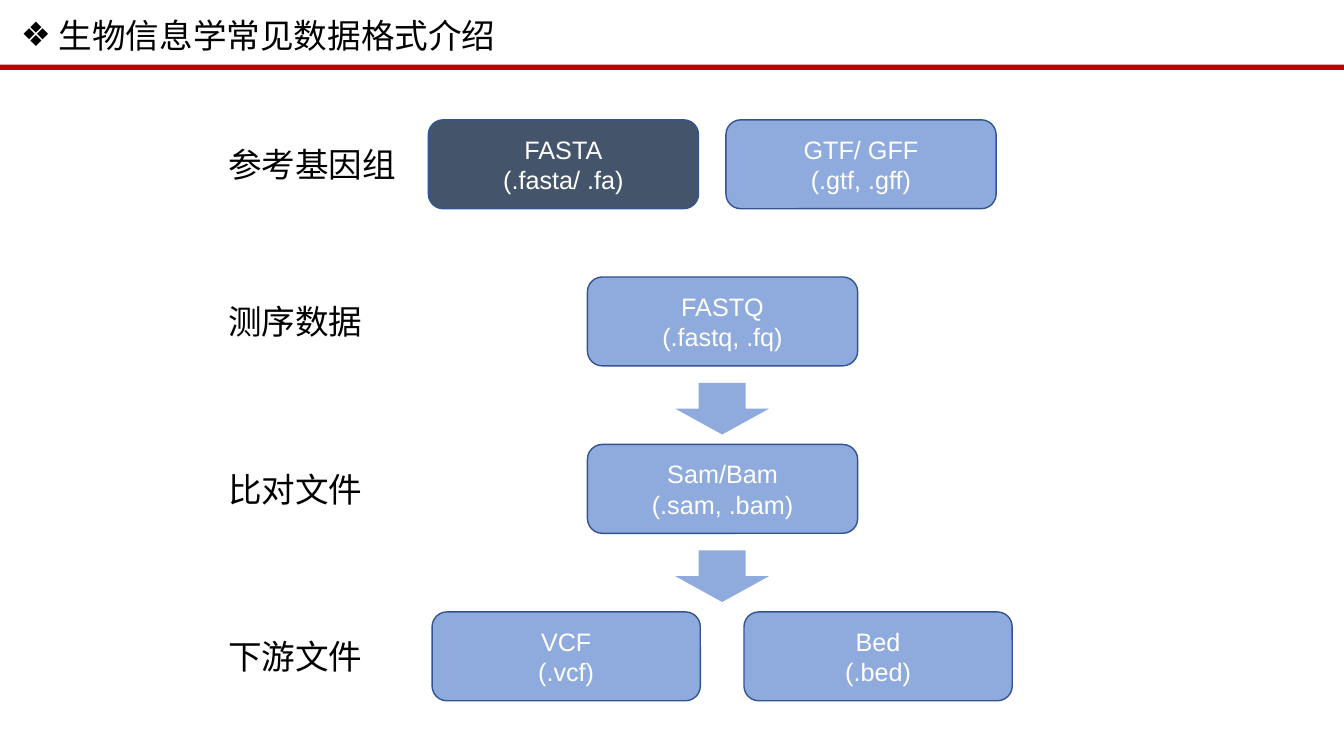
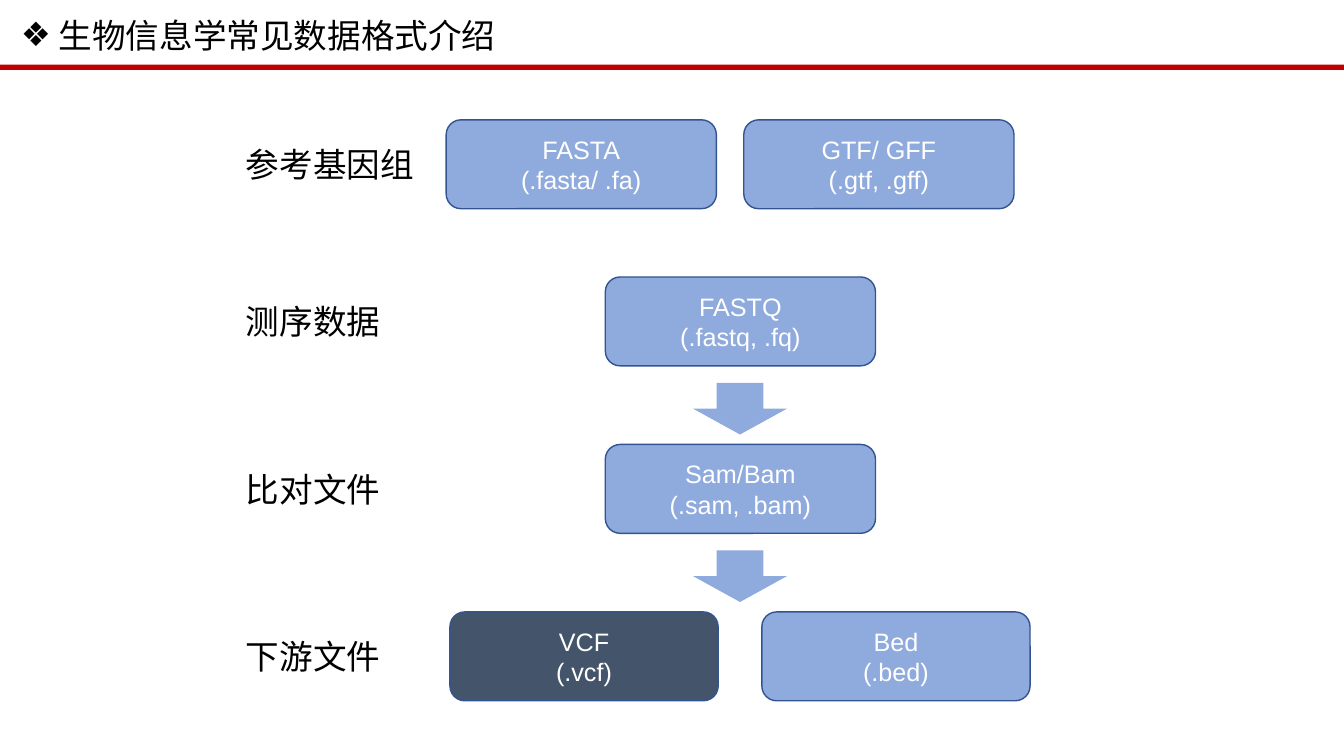
from dataclasses import dataclass

from lxml import etree
from pptx import Presentation
from pptx.dml.color import RGBColor
from pptx.enum.lang import MSO_LANGUAGE_ID
from pptx.enum.shapes import MSO_SHAPE
from pptx.enum.text import MSO_ANCHOR, MSO_AUTO_SIZE, PP_ALIGN
from pptx.oxml.ns import qn
from pptx.util import Cm, Pt

RECTANGLE = MSO_SHAPE.RECTANGLE
ROUNDED = MSO_SHAPE.ROUNDED_RECTANGLE
DOWN_ARROW = MSO_SHAPE.DOWN_ARROW
CENTER = PP_ALIGN.CENTER
MIDDLE = MSO_ANCHOR.MIDDLE
FIT_SHAPE = MSO_AUTO_SIZE.SHAPE_TO_FIT_TEXT
CHINESE = MSO_LANGUAGE_ID.SIMPLIFIED_CHINESE


@dataclass(frozen=True)
class Theme:
    font: str = "Arial"
    heading_size: int = 24
    format_size: int = 18
    text: RGBColor = RGBColor(0x00, 0x00, 0x00)
    on_fill: RGBColor = RGBColor(0xFF, 0xFF, 0xFF)
    band: RGBColor = RGBColor(0xC0, 0x00, 0x00)
    box: RGBColor = RGBColor(0x8F, 0xAA, 0xDC)
    current: RGBColor = RGBColor(0x44, 0x54, 0x6A)
    outline: RGBColor = RGBColor(0x32, 0x54, 0x91)


THEME = Theme()

# Content
TITLE = "生物信息学常见数据格式介绍"
# Stage, row top, row centre, box width, gap, arrow below, formats
STAGES = [
    ("参考基因组", 3.02, 17.95, 6.81, 0.69, False,
     [("FASTA", "(.fasta/ .fa)"), ("GTF/ GFF", "(.gtf, .gff)")]),
    ("测序数据", 6.98, 18.21, 6.81, 0, True, [("FASTQ", "(.fastq, .fq)")]),
    ("比对文件", 11.2, 18.21, 6.81, 0, True, [("Sam/Bam", "(.sam, .bam)")]),
    ("下游文件", 15.42, 18.2, 6.76, 1.1, False,
     [("VCF", "(.vcf)"), ("Bed", "(.bed)")]),
]
# Highlighted format and sideways shift of the diagram
SLIDES = [("FASTA", 0), ("VCF", 0.45)]

# Measures in centimetres
SLIDE_WIDTH, SLIDE_HEIGHT = 33.87, 19.05
BOX_HEIGHT = 2.24
HEADING_HEIGHT = 1.27
LABEL_LEFT = 5.5
LABEL_PADDING, CHARACTER_WIDTH = 0.51, 0.85
ARROW_CENTER, ARROW_WIDTH, ARROW_HEIGHT, ARROW_GAP = 18.2, 2.36, 1.3, 0.43
BULLET_INDENT = 0.95


def add_run(paragraph, text, size, color):
    run = paragraph.add_run()
    run.text = text
    run.font.name = THEME.font
    run.font.size = Pt(size)
    run.font.color.rgb = color
    return run


def add_block(slide, kind, left, top, width, height, fill, outline=None):
    block = slide.shapes.add_shape(kind, Cm(left), Cm(top), Cm(width), Cm(height))
    block.shadow.inherit = False
    block.fill.solid()
    block.fill.fore_color.rgb = fill
    if outline is None:
        block.line.fill.background()
    else:
        block.line.color.rgb = outline
        block.line.width = Pt(1)
    return block


def add_heading(slide, text, left, top, width):
    heading = slide.shapes.add_textbox(
        Cm(left), Cm(top), Cm(width), Cm(HEADING_HEIGHT))
    frame = heading.text_frame
    frame.word_wrap = False
    frame.auto_size = FIT_SHAPE
    paragraph = frame.paragraphs[0]
    run = add_run(paragraph, text, THEME.heading_size, THEME.text)
    run.font.language_id = CHINESE
    return paragraph


def add_bullet(paragraph, symbol):
    properties = paragraph._p.get_or_add_pPr()
    properties.set("marL", str(Cm(BULLET_INDENT)))
    properties.set("indent", str(-Cm(BULLET_INDENT)))
    etree.SubElement(properties, qn("a:buFont")).set("typeface", THEME.font)
    etree.SubElement(properties, qn("a:buChar")).set("char", symbol)


def add_title(slide):
    add_block(slide, RECTANGLE, 0, 1.63, SLIDE_WIDTH, 0.13, THEME.band)
    add_bullet(add_heading(slide, TITLE, 0.28, 0.25, 12.6), "❖")


def add_format(slide, lines, left, top, width, fill):
    box = add_block(slide, ROUNDED, left, top, width, BOX_HEIGHT, fill, THEME.outline)
    frame = box.text_frame
    frame.word_wrap = True
    frame.vertical_anchor = MIDDLE
    for index, line in enumerate(lines):
        paragraph = frame.add_paragraph() if index else frame.paragraphs[0]
        paragraph.alignment = CENTER
        add_run(paragraph, line, THEME.format_size, THEME.on_fill)


def add_stage(slide, stage, highlighted, shift):
    label, top, center, width, gap, has_arrow, formats = stage
    add_heading(slide, label, LABEL_LEFT + shift,
                top + (BOX_HEIGHT - HEADING_HEIGHT) / 2,
                LABEL_PADDING + CHARACTER_WIDTH * len(label))

    row_width = len(formats) * (width + gap) - gap
    row_left = center - row_width / 2 + shift
    for column, lines in enumerate(formats):
        fill = THEME.current if lines[0] == highlighted else THEME.box
        add_format(slide, lines, row_left + column * (width + gap), top, width, fill)

    if has_arrow:
        add_block(slide, DOWN_ARROW, ARROW_CENTER - ARROW_WIDTH / 2 + shift,
                  top + BOX_HEIGHT + ARROW_GAP, ARROW_WIDTH, ARROW_HEIGHT, THEME.box)


def main():
    deck = Presentation()
    deck.slide_width, deck.slide_height = Cm(SLIDE_WIDTH), Cm(SLIDE_HEIGHT)
    blank = deck.slide_layouts[6]
    for highlighted, shift in SLIDES:
        slide = deck.slides.add_slide(blank)
        add_title(slide)
        for stage in STAGES:
            add_stage(slide, stage, highlighted, shift)
    deck.save("out.pptx")


if __name__ == "__main__":
    main()
